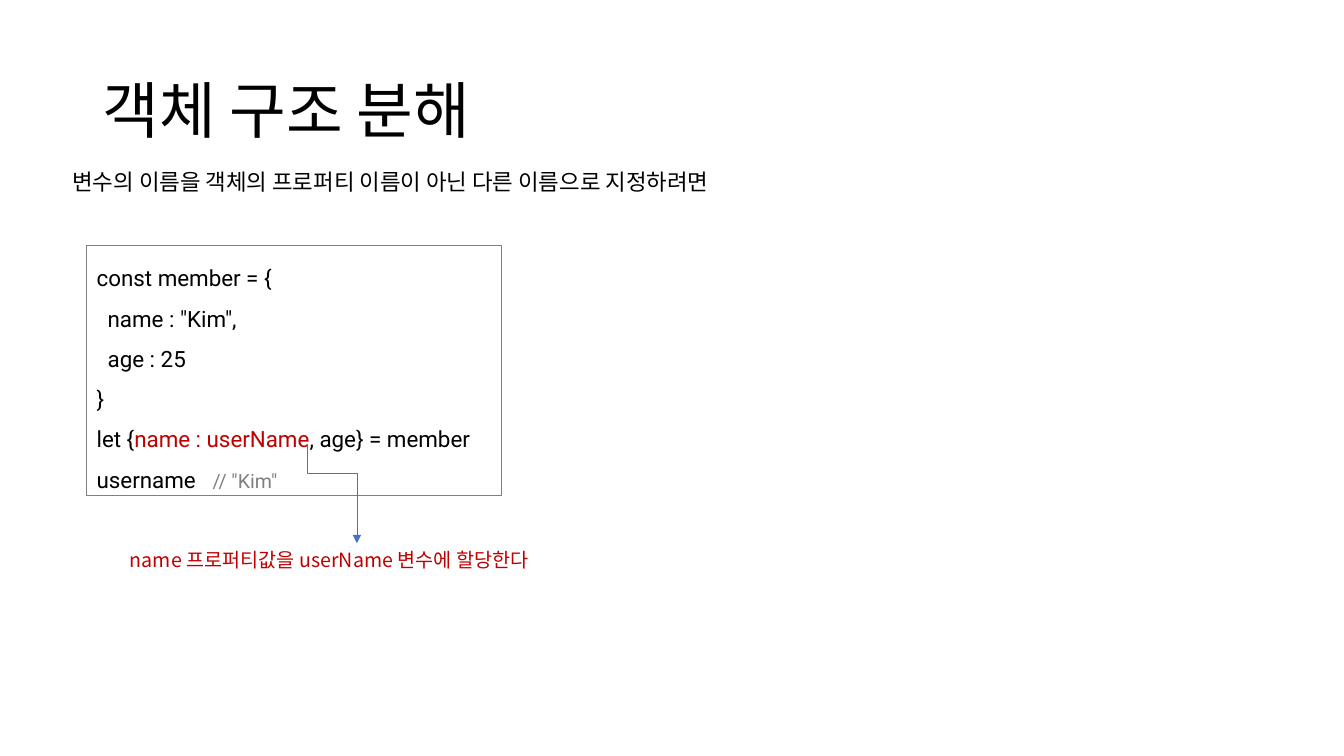
from collections import namedtuple
from dataclasses import dataclass
from lxml.etree import SubElement
from pptx import Presentation
from pptx.dml.color import RGBColor
from pptx.enum.shapes import MSO_CONNECTOR, MSO_SHAPE
from pptx.enum.text import MSO_ANCHOR
from pptx.oxml.ns import qn
from pptx.util import Inches, Pt

Box = namedtuple("Box", "left top width height")


@dataclass(frozen=True)
class Theme:
    """Colours, fonts and type sizes."""
    ink: str = "000000"
    mark: str = "C00000"
    mute: str = "808080"
    link: str = "4472C4"
    hangul: str = "Noto Sans CJK KR"
    code: str = "Roboto"
    title: int = 44
    body: int = 16
    note: int = 14


THEME = Theme()


def cell(count):
    """Turn grid columns or rows, ten to the inch, into a length."""
    return Inches(count / 10)


def place(box):
    """Turn a grid box into lengths."""
    return [cell(side) for side in box]


def add_run(para, text, size, face, tint):
    """Add one styled run."""
    run = para.add_run()
    run.text = text
    run.font.size = Pt(size)
    run.font.name = face
    run.font.color.rgb = RGBColor.from_string(tint)
    SubElement(run.font._element, qn("a:ea")).set("typeface", face)


def add_line(slide, box, text, size, tint, space=1.0, anchor=MSO_ANCHOR.TOP):
    """Add a box that holds one line of Korean text."""
    frame = slide.shapes.add_textbox(*place(box)).text_frame
    frame.word_wrap = True
    frame.vertical_anchor = anchor
    para = frame.paragraphs[0]
    para.line_spacing = space
    add_run(para, text, size, THEME.hangul, tint)


def add_head(slide, box):
    """Add the title and the lead line under it."""
    add_line(slide, Box(box.left + 3, box.top, 115, 14.5), "객체 구조 분해",
             THEME.title, THEME.ink, 0.9, MSO_ANCHOR.MIDDLE)
    add_line(slide, Box(box.left, box.top + 10.9, box.width, 4.5),
             "변수의 이름을 객체의 프로퍼티 이름이 아닌 다른 이름으로 지정하려면",
             THEME.body, THEME.ink, 1.5)


def add_code(slide, box):
    """Add the framed code sample."""
    panel = slide.shapes.add_shape(MSO_SHAPE.RECTANGLE, *place(box))
    panel.shadow.inherit = False
    panel.fill.background()
    panel.line.color.rgb = RGBColor.from_string(THEME.mute)
    panel.line.width = Pt(0.75)
    frame = panel.text_frame
    frame.word_wrap = True
    frame.vertical_anchor = MSO_ANCHOR.TOP
    ink, size = THEME.ink, THEME.body
    lines = [
        (0, [("const member = {", ink, size)]),
        (1.1, [('name : "Kim",', ink, size)]),
        (1.1, [("age : 25", ink, size)]),
        (0, [("}", ink, size)]),
        (0, [("let {", ink, size), ("name : userName", THEME.mark, size),
             (", age} = member", ink, size)]),
        (0, [("username\t", ink, size), ('// "Kim"', THEME.mute, THEME.note)]),
    ]
    for row, (indent, runs) in enumerate(lines):
        para = frame.paragraphs[0] if row == 0 else frame.add_paragraph()
        para.alignment = 1
        para.line_spacing = 1.5
        props = para._p.get_or_add_pPr()
        props.set("marL", str(cell(indent)))
        stops = SubElement(props, qn("a:tabLst"))
        SubElement(stops, qn("a:tab"), pos=str(cell(11.5)), algn="l")
        for text, tint, points in runs:
            add_run(para, text, points, THEME.code, tint)


def add_arrow(slide, box):
    """Add an elbow arrow that leaves downwards, from corner to corner."""
    mid_x, mid_y = box.left + box.width / 2, box.top + box.height / 2
    left, right = mid_x - box.height / 2, mid_x + box.height / 2
    top, low = mid_y - box.width / 2, mid_y + box.width / 2
    arrow = slide.shapes.add_connector(
        MSO_CONNECTOR.ELBOW, *place((right, top, left, low)))
    arrow.line.color.rgb = RGBColor.from_string(THEME.link)
    arrow.line.width = Pt(0.5)
    props = arrow._element.spPr
    props.find(qn("a:xfrm")).set("rot", str(270 * 60000))
    bends = props.find(qn("a:prstGeom")).get_or_add_avLst()
    SubElement(bends, qn("a:gd"), name="adj1", fmla="val 29600")
    SubElement(props.find(qn("a:ln")), qn("a:tailEnd"), type="triangle")
    SubElement(props, qn("a:effectLst"))


def add_note(slide, box):
    """Add the arrow and the remark it points to."""
    add_arrow(slide, Box(box.left + 18.6, box.top, 4.9, 9.8))
    add_line(slide, Box(box.left, box.top + 9.8, box.width, 3.4),
             "name 프로퍼티값을 userName 변수에 할당한다",
             THEME.note, THEME.mark)


def main():
    """Build the slide and save it."""
    deck = Presentation()
    deck.slide_width, deck.slide_height = Inches(13.33), Inches(7.5)
    slide = deck.slides.add_slide(deck.slide_layouts[6])
    add_head(slide, Box(6.2, 4, 121.2, 15.4))
    add_code(slide, Box(8.6, 24.4, 41.1, 24.8))
    add_note(slide, Box(11.9, 44.1, 47, 13.2))
    deck.save("out.pptx")


main()
